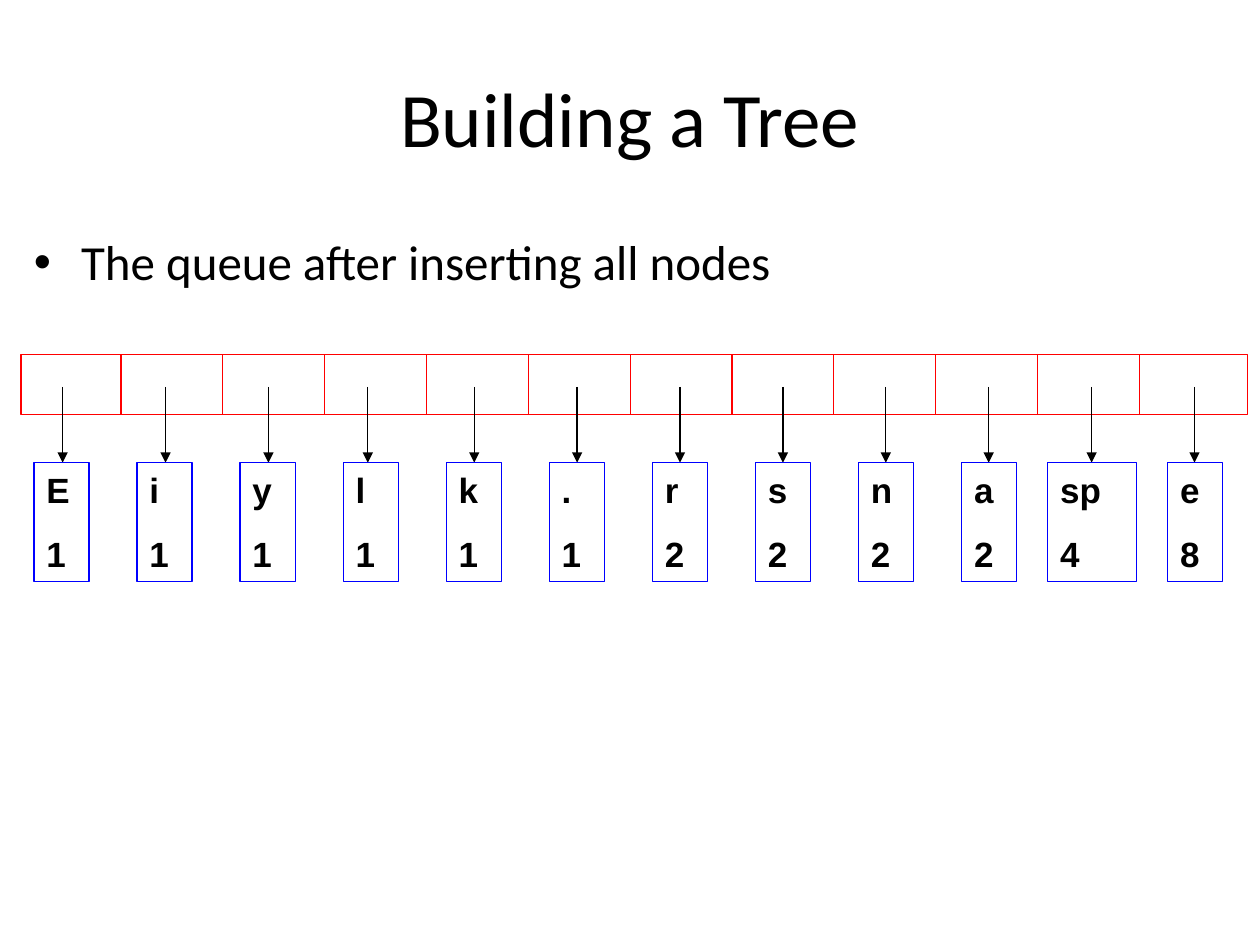
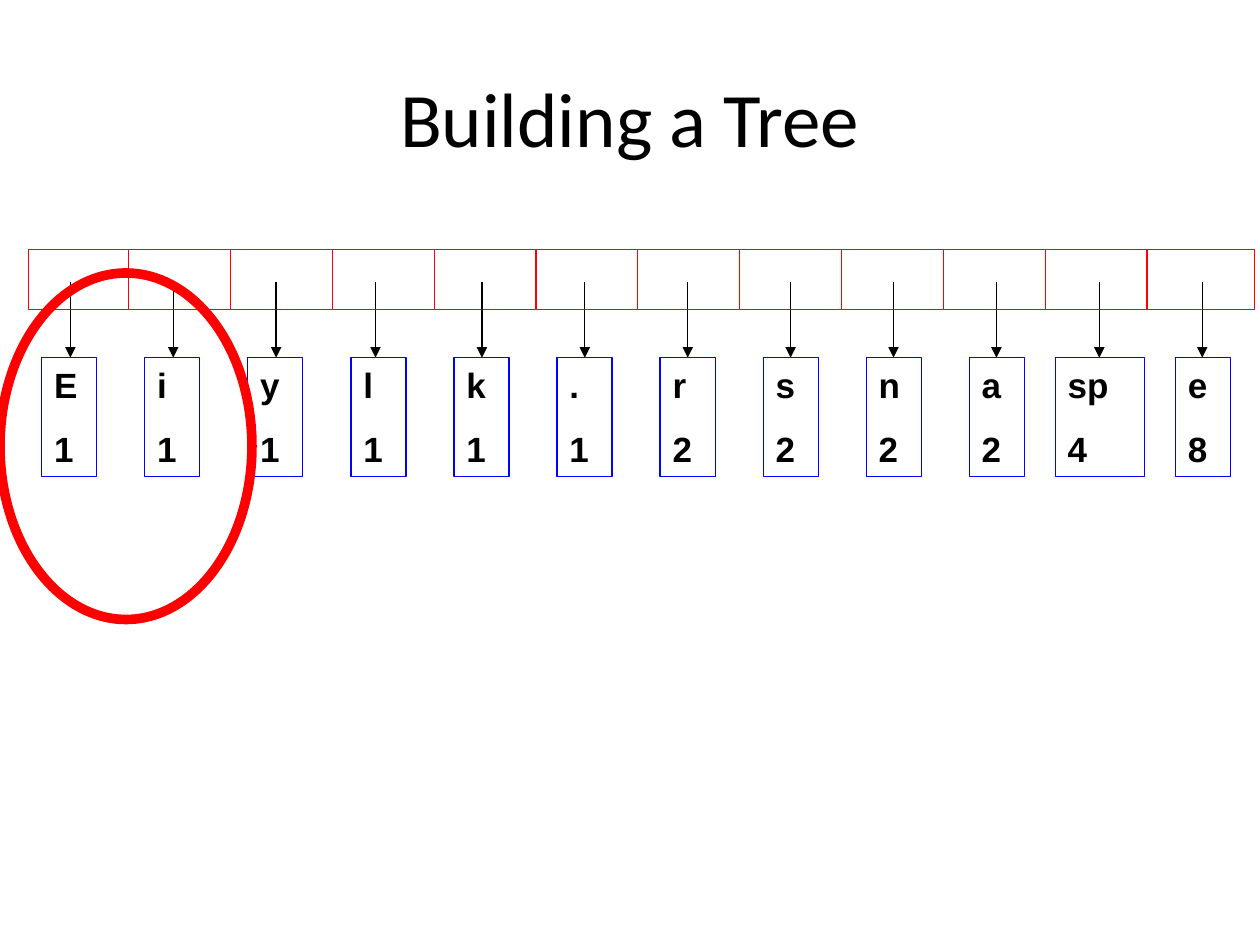
from lxml import etree
from pptx import Presentation
from pptx.dml.color import RGBColor
from pptx.enum.shapes import MSO_CONNECTOR, MSO_SHAPE
from pptx.enum.text import MSO_ANCHOR, PP_ALIGN
from pptx.oxml.ns import qn
from pptx.util import Pt

BLACK = RGBColor(0x00, 0x00, 0x00)
WHITE = RGBColor(0xFF, 0xFF, 0xFF)
RED = RGBColor(0xFF, 0x00, 0x00)
BLUE = RGBColor(0x00, 0x00, 0xFF)

RECT, OVAL = MSO_SHAPE.RECTANGLE, MSO_SHAPE.OVAL
STRAIGHT = MSO_CONNECTOR.STRAIGHT
TOP, MIDDLE = MSO_ANCHOR.TOP, MSO_ANCHOR.MIDDLE
LEFT, CENTER = PP_ALIGN.LEFT, PP_ALIGN.CENTER

HEAD_FONT, NODE_FONT = "Calibri", "Arial"
THIN = 0.75

NODES = [("E", 1), ("i", 1), ("y", 1), ("l", 1), ("k", 1), (".", 1),
         ("r", 2), ("s", 2), ("n", 2), ("a", 2), ("sp", 4), ("e", 8)]

# Queue layout, measured from the queue's left top corner
QUEUE_W, QUEUE_H = 700.6, 34.6
SLOT_X, SLOT_STEP = 57, 58.2
ARROW_X, ARROW_STEP, ARROW_Y = 23.7, 58.8, 18.7
NODE_X, NODE_STEP, NODE_Y = 7.3, 58.9, 62
NODE_W, WIDE_W, NODE_H = 31.5, 51, 68
SHIFTS = {"l": -2}  # arrow that stands a little left of its step


def write(par, text, font, size, bold=False):
    run = par.add_run()
    run.text = text
    run.font.name = font
    run.font.size = Pt(size)
    run.font.bold = bold
    run.font.color.rgb = BLACK


def text_box(slide, x, y, w, h, anchor):
    """Add a wrapping text box and return its first paragraph."""
    frame = slide.shapes.add_textbox(Pt(x), Pt(y), Pt(w), Pt(h)).text_frame
    frame.word_wrap = True
    frame.vertical_anchor = anchor
    return frame.paragraphs[0]


def add_title(slide, text):
    par = text_box(slide, 36, 21.6, 648, 90, MIDDLE)
    par.alignment = CENTER
    write(par, text, HEAD_FONT, 44)


def add_bullet(slide, text):
    par = text_box(slide, 12.3, 129, 707.7, 324, TOP)
    props = par._p.get_or_add_pPr()
    props.set("marL", str(Pt(27)))
    props.set("indent", str(-Pt(27)))
    etree.SubElement(props, qn("a:buFont")).set("typeface", "Arial")
    etree.SubElement(props, qn("a:buChar")).set("char", "•")
    write(par, text, HEAD_FONT, 28)


def add_form(slide, kind, x, y, w, h, color, width=THIN, fill=None):
    form = slide.shapes.add_shape(kind, Pt(x), Pt(y), Pt(w), Pt(h))
    form.shadow.inherit = False
    if fill is None:
        form.fill.background()
    else:
        form.fill.solid()
        form.fill.fore_color.rgb = fill
    form.line.color.rgb = color
    form.line.width = Pt(width)
    return form


def add_line(slide, x, top, end, color, arrow=False):
    """Draw a vertical line from top to end."""
    line = slide.shapes.add_connector(STRAIGHT, Pt(x), Pt(top), Pt(x), Pt(end))
    line.line.color.rgb = color
    line.line.width = Pt(THIN)
    if arrow:
        tail = etree.SubElement(line.line._get_or_add_ln(), qn("a:tailEnd"))
        tail.set("type", "triangle")
    etree.SubElement(line._element.spPr, qn("a:effectLst"))


def add_node(slide, x, y, width, sign, count):
    frame = add_form(slide, RECT, x, y, width, NODE_H, BLUE).text_frame
    frame.word_wrap = True
    frame.vertical_anchor = TOP
    first, second = frame.paragraphs[0], frame.add_paragraph()
    second.space_before = Pt(12.5)
    for par, text in ((first, sign), (second, str(count))):
        par.alignment = LEFT
        write(par, text, NODE_FONT, 20, bold=True)


def add_queue(slide, x, y):
    """Draw the slots, then an arrow from each slot to its node."""
    add_form(slide, RECT, x, y, QUEUE_W, QUEUE_H, RED, fill=WHITE)
    for i in range(len(NODES) - 1):
        add_line(slide, x + SLOT_X + i * SLOT_STEP, y, y + QUEUE_H, RED)
    for i, (sign, _) in enumerate(NODES):
        spot = x + ARROW_X + i * ARROW_STEP + SHIFTS.get(sign, 0)
        add_line(slide, spot, y + ARROW_Y, y + NODE_Y, BLACK, arrow=True)
    for i, (sign, count) in enumerate(NODES):
        width = WIDE_W if len(sign) > 1 else NODE_W
        left = x + NODE_X + i * NODE_STEP - (width - NODE_W) / 2
        add_node(slide, left, y + NODE_Y, width, sign, count)


def main():
    deck = Presentation()
    deck.slide_width, deck.slide_height = Pt(720), Pt(540)
    blank = deck.slide_layouts[6]
    full, pick = (deck.slides.add_slide(blank) for _ in range(2))
    for slide in (full, pick):
        add_title(slide, "Building a Tree")

    add_bullet(full, "The queue after inserting all nodes")
    add_queue(full, 12.1, 202.4)

    add_queue(pick, 16.5, 142.4)
    add_form(pick, OVAL, 0, 156, 144, 198, RED, width=5.5)
    deck.save("out.pptx")


if __name__ == "__main__":
    main()
